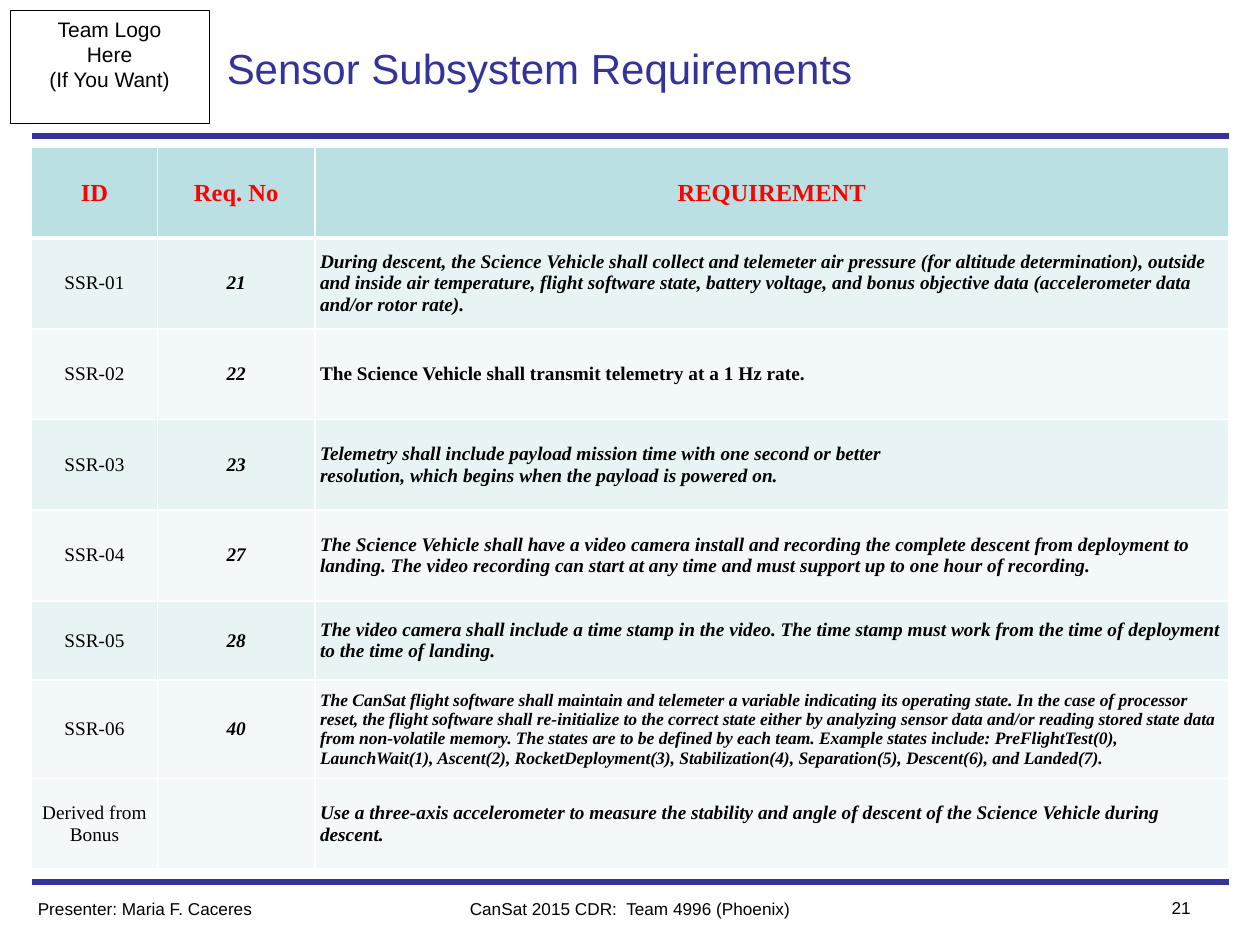
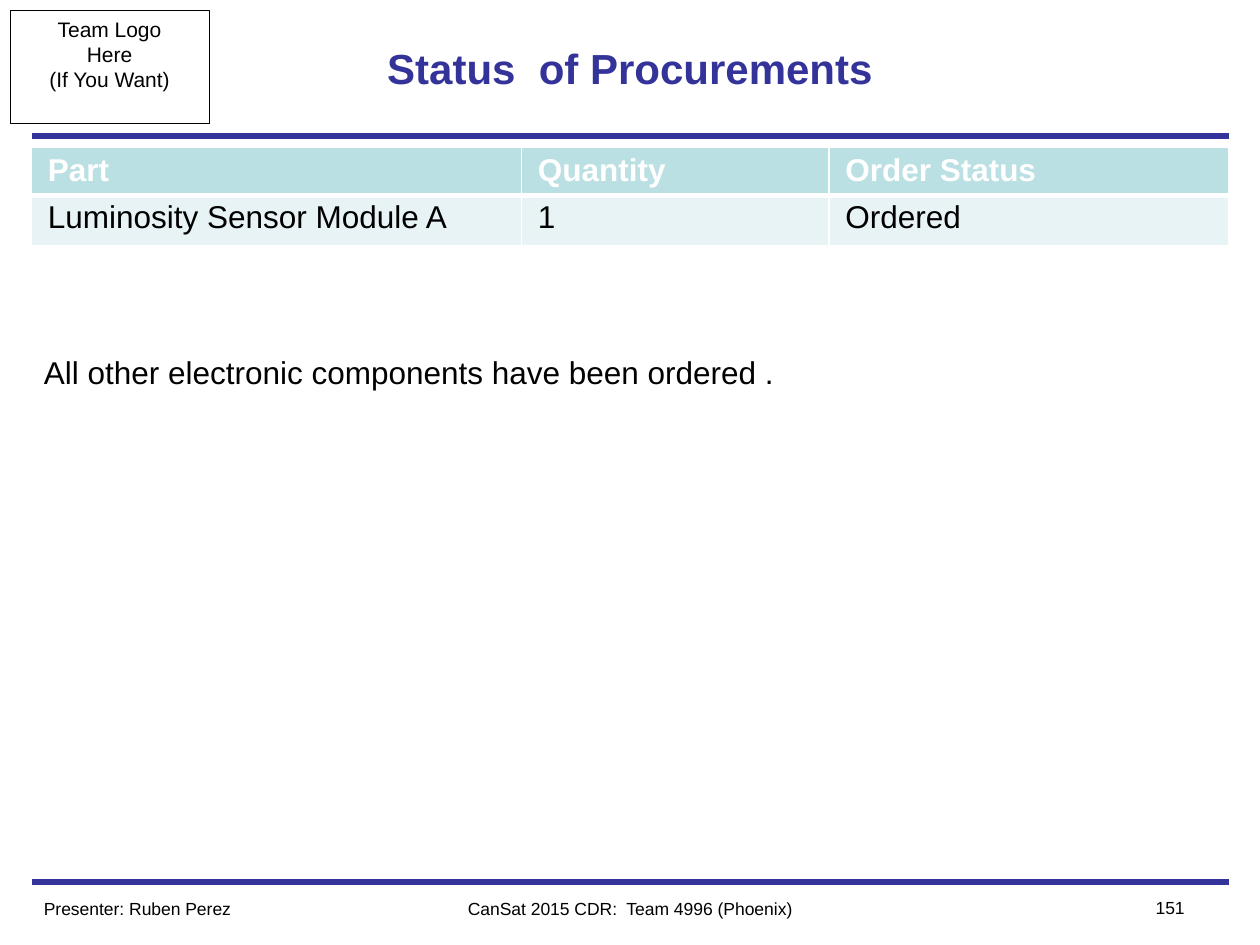
"""Build two CanSat review slides: sensor requirements and procurement status."""
from dataclasses import dataclass

from lxml import etree
from pptx import Presentation
from pptx import util as u
from pptx.dml.color import RGBColor
from pptx.enum import shapes, text
from pptx.oxml import ns

LOGO_NOTE = "Team Logo\nHere\n(If You Want)"
TEAM = "CanSat 2015 CDR:  Team 4996 (Phoenix)"

REQUIREMENTS = [
    ("SSR-01", "21", "During descent, the Science Vehicle shall collect and telemeter air pressure "
     "(for altitude determination), outside and inside air temperature, flight software state, "
     "battery voltage, and bonus objective data (accelerometer data and/or rotor rate)."),
    ("SSR-02", "22", "The Science Vehicle shall transmit telemetry at a 1 Hz rate."),
    ("SSR-03", "23", "Telemetry shall include payload mission time with one second or better\n"
     "resolution, which begins when the payload is powered on."),
    ("SSR-04", "27", "The Science Vehicle shall have a video camera install and recording the "
     "complete descent from deployment to landing. The video recording can start at any time and "
     "must support up to one hour of recording."),
    ("SSR-05", "28", "The video camera shall include a time stamp in the video. The time stamp "
     "must work from the time of deployment to the time of landing."),
    ("SSR-06", "40", "The CanSat flight software shall maintain and telemeter a variable indicating "
     "its operating state. In the case of processor reset, the flight software shall re-initialize "
     "to the correct state either by analyzing sensor data and/or reading stored state data from "
     "non-volatile memory. The states are to be defined by each team. Example states include: "
     "PreFlightTest(0), LaunchWait(1), Ascent(2), RocketDeployment(3), Stabilization(4), "
     "Separation(5), Descent(6), and Landed(7)."),
    ("Derived from Bonus", "", "Use a three-axis accelerometer to measure the stability and angle "
     "of descent of the Science Vehicle during descent."),
]
UPRIGHT_ID, LONG_ID = "SSR-02", "SSR-06"

REQUIREMENT_TABLE = {
    "header": ("ID", "Req. No", "REQUIREMENT"), "rows": REQUIREMENTS,
    "widths": (1, 1.25, 7.25), "heights": (0.72, 0.72, 0.72, 0.72, 0.72, 0.63, 0.78, 0.72),
}
PROCUREMENT_TABLE = {
    "header": ("Part", "Quantity", "Order Status"),
    "rows": [("Luminosity Sensor Module A", "1", "Ordered")],
    "widths": (3.89, 2.44, 3.17), "heights": (0.37, 0.4),
}
PROCUREMENT_NOTE = "All other electronic components have been ordered ."


@dataclass(frozen=True)
class Theme:
    """Colours, fonts and type sizes."""
    navy: str = "333399"
    black: str = "000000"
    white: str = "FFFFFF"
    red: str = "FF0000"
    header_fill: str = "BBE0E3"
    band_fills: tuple = ("E7F3F4", "F3F9FA")
    sans: str = "Arial"
    serif: str = "Times New Roman"
    title: float = 24
    body: float = 18
    header: float = 14
    logo: float = 12
    cell: float = 11
    long_cell: float = 10


THEME = Theme()
ALIGN = {"l": text.PP_ALIGN.LEFT, "c": text.PP_ALIGN.CENTER, "r": text.PP_ALIGN.RIGHT}


def write(frame, words, size=THEME.body, font=THEME.sans, color=THEME.black, bold=False,
          italic=False, align="l"):
    """Fill a text frame, one paragraph per line of words."""
    for number, line in enumerate(words.split("\n")):
        paragraph = frame.add_paragraph() if number else frame.paragraphs[0]
        paragraph.alignment = ALIGN[align]
        run = paragraph.add_run()
        run.text = line
        run.font.size, run.font.name = u.Pt(size), font
        run.font.bold, run.font.italic = bold, italic
        run.font.color.rgb = RGBColor.from_string(color)


def add_words(slide, words, box, inset=0.1, middle=False, wrap=True, **style):
    """Place a text box at left, top, width, height."""
    frame = slide.shapes.add_textbox(*map(u.Inches, box)).text_frame
    frame.word_wrap = wrap
    frame.margin_left = frame.margin_right = u.Inches(inset)
    frame.margin_top = frame.margin_bottom = u.Inches(0.05)
    frame.vertical_anchor = text.MSO_ANCHOR.MIDDLE if middle else text.MSO_ANCHOR.TOP
    write(frame, words, **style)


def add_rule(slide, y):
    """Draw a full-width navy rule."""
    rule = slide.shapes.add_connector(shapes.MSO_CONNECTOR.STRAIGHT, u.Inches(0.25), u.Inches(y),
                                      u.Inches(9.75), u.Inches(y))
    rule.line.color.rgb = RGBColor.from_string(THEME.navy)
    rule.line.width = u.Pt(3)
    etree.SubElement(rule._element.spPr, ns.qn("a:effectLst"))


def add_frame(deck, title, presenter, number, inset, footer_size, **title_style):
    """Add a slide with the shared rules, logo box, title and footer."""
    slide = deck.slides.add_slide(deck.slide_layouts[6])
    for y in (7, 1.08):
        add_rule(slide, y)
    logo = slide.shapes.add_shape(shapes.MSO_SHAPE.RECTANGLE,
                                  *map(u.Inches, (0.08, 0.08, 1.58, 0.9)))
    logo.shadow.inherit = False
    logo.fill.background()
    logo.line.color.rgb = RGBColor.from_string(THEME.black)
    logo.line.width = u.Pt(0.5)
    logo.text_frame.vertical_anchor = text.MSO_ANCHOR.TOP
    write(logo.text_frame, LOGO_NOTE, size=THEME.logo, align="c")
    add_words(slide, title, (1.75, 0.08, 6.5, 0.92), inset, middle=True, size=THEME.title,
              color=THEME.navy, **title_style)
    for words, left, top, width, align in (
            (presenter, 0.25, 7.08, 2.5, "l"), (TEAM, 3, 7.08, 4, "c"),
            (number, 8.75, 7.07, 0.75, "r")):
        add_words(slide, words, (left, top, width, 0.27), inset, size=footer_size, align=align)
    return slide


def set_borders(cell, top, bottom):
    """Give a cell white borders; top and bottom are widths in points."""
    properties = cell._tc.get_or_add_tcPr()
    for side, width in (("L", 1), ("R", 1), ("T", top), ("B", bottom)):
        line = etree.SubElement(properties, ns.qn(f"a:ln{side}"), w=str(u.Pt(width)))
        fill = etree.SubElement(line, ns.qn("a:solidFill"))
        etree.SubElement(fill, ns.qn("a:srgbClr"), val=THEME.white)


def add_grid(slide, content, fills, style_of, margins, middle=False):
    """Add a table; style_of(row, column, record) gives the text format."""
    records = [content["header"], *content["rows"]]
    widths, heights = content["widths"], content["heights"]
    box = (0.25, 1.17, sum(widths), sum(heights))
    grid = slide.shapes.add_table(len(records), len(widths), *map(u.Inches, box)).table
    for column, width in zip(grid.columns, widths):
        column.width = u.Inches(width)
    for r, (record, fill) in enumerate(zip(records, fills)):
        grid.rows[r].height = u.Inches(heights[r])
        for c, words in enumerate(record):
            cell = grid.cell(r, c)
            set_borders(cell, 3 if r == 1 else 1, 3 if r == 0 else 1)
            cell.fill.solid()
            cell.fill.fore_color.rgb = RGBColor.from_string(fill)
            cell.margin_left = cell.margin_right = u.Inches(margins[0])
            cell.margin_top = cell.margin_bottom = u.Inches(margins[1])
            cell.vertical_anchor = text.MSO_ANCHOR.MIDDLE if middle else text.MSO_ANCHOR.TOP
            if words:
                write(cell.text_frame, words, **style_of(r, c, record))


def requirement_style(row, column, record):
    """Format a cell of the requirements table."""
    if row == 0:
        return dict(size=THEME.header, font=THEME.serif, color=THEME.red, bold=True, align="c")
    is_statement = column == 2
    return dict(size=THEME.long_cell if is_statement and record[0] == LONG_ID else THEME.cell,
                font=THEME.serif, bold=column > 0,
                italic=column > 0 and not (is_statement and record[0] == UPRIGHT_ID),
                align="l" if is_statement else "c")


def procurement_style(row, column, record):
    """Format a cell of the procurement table."""
    return dict(color=THEME.white, bold=True) if row == 0 else {}


def main():
    """Build and save the deck."""
    deck = Presentation()
    deck.slide_width, deck.slide_height = u.Inches(10), u.Inches(7.5)
    odd, even = THEME.band_fills

    requirements = add_frame(deck, "Sensor Subsystem Requirements", "Presenter: Maria F. Caceres",
                             "21", inset=0.05, footer_size=9.8)
    add_grid(requirements, REQUIREMENT_TABLE, [THEME.header_fill, *(odd, even) * 3, even],
             requirement_style, margins=(0.04, 0.04), middle=True)

    procurement = add_frame(deck, "Status  of Procurements", "Presenter: Ruben Perez", "151",
                            inset=0.1, footer_size=10, bold=True, align="c")
    add_grid(procurement, PROCUREMENT_TABLE, [THEME.header_fill, odd], procurement_style,
             margins=(0.13, 0.04))
    add_words(procurement, PROCUREMENT_NOTE, (0.25, 2.75, 6.05, 0.4), wrap=False)
    deck.save("out.pptx")


if __name__ == "__main__":
    main()
